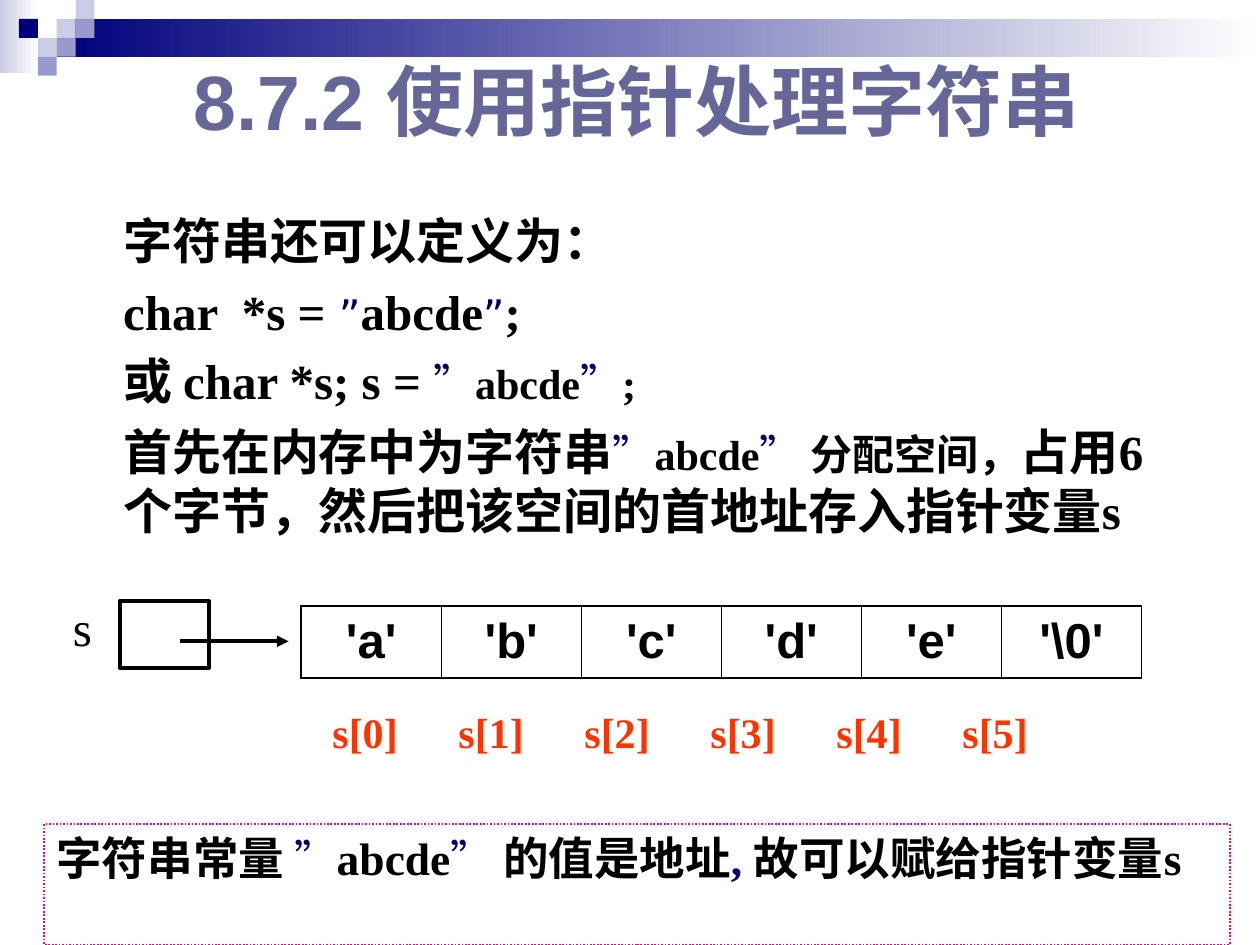
"""Build a slide on handling strings through pointers."""
from dataclasses import dataclass

from lxml import etree
from pptx import Presentation
from pptx import util as u
from pptx.dml.color import RGBColor
from pptx.enum import dml, shapes, text
from pptx.oxml import ns

WIDE, HIGH = u.Inches(10), u.Inches(7.5)
COLS, ROWS = 100, 75
HUES = {
    "black": "000000", "white": "FFFFFF", "navy": "00007D", "ink": "000066",
    "pale": "CCCCE6", "mauve": "9999CC", "slate": "666699",
    "red": "FF3300", "pink": "FF0066",
}
SERIF, SANS, MARK = "Times New Roman", "Arial", "DejaVu Sans"


@dataclass(frozen=True)
class Area:
    col: float
    row: float
    wide: float
    high: float

    def box(self) -> tuple:
        return (across(self.col), down(self.row),
                across(self.wide), down(self.high))


@dataclass(frozen=True)
class Style:
    size: float
    name: str = SERIF
    hue: str = "black"
    bold: bool = True


@dataclass(frozen=True)
class Line:
    runs: tuple
    before: float = 0


HEAD = Style(44, SANS, "slate")
BIG, MID, SMALL = Style(28), Style(26), Style(24)
QUOTE = Style(24, MARK, "ink", False)
CELL = Style(28, SANS)
PLAIN = Style(28, bold=False)
INDEX = Style(24, hue="red")
COMMA = Style(26, hue="navy")

BODY = (
    Line((("字符串还可以定义为：", BIG),)),
    Line((("char  *s =", BIG), (" ”", QUOTE), ("abcde", BIG),
          ("”", QUOTE), (";", BIG)), 7),
    Line((("或 char *s; s = ", BIG), ("”", QUOTE), ("abcde", SMALL),
          ("”", QUOTE), (";", SMALL)), 6),
    Line((("首先在内存中为字符串", BIG), ("”", QUOTE), ("abcde", SMALL),
          ("” ", QUOTE), ("分配空间，", SMALL),
          ("占用6个字节，然后把该空间的首地址存入指针变量s", BIG)), 7),
)
NOTE = Line((("字符串常量 ", MID), ("”", QUOTE), ("abcde", MID), ("”", QUOTE),
             (" 的值是地址", MID), (", ", COMMA), ("故可以赋给指针变量s", MID)))
CHARS = ("'a'", "'b'", "'c'", "'d'", "'e'", r"'\0'")
TILES = ((3, 1, "pale"), (4, 0, "pale"), (4, 1, "mauve"), (2, 2, "pale"),
         (1, 1, "navy"), (3, 2, "mauve"), (2, 3, "mauve"))


def across(cols: float) -> int:
    return round(WIDE * cols / COLS)


def down(rows: float) -> int:
    return round(HIGH * rows / ROWS)


def hue(name: str) -> RGBColor:
    return RGBColor.from_string(HUES[name])


def apply(thing, form: dict) -> None:
    for key, val in form.items():
        setattr(thing, key, val)


def write(frame, lines: tuple, align=text.PP_ALIGN.LEFT) -> None:
    for num, line in enumerate(lines):
        para = frame.add_paragraph() if num else frame.paragraphs[0]
        apply(para, {"alignment": align, "space_before": u.Pt(line.before)})
        for words, style in line.runs:
            run = para.add_run()
            run.text = words
            apply(run.font, {"size": u.Pt(style.size), "name": style.name,
                             "bold": style.bold})
            run.font.color.rgb = hue(style.hue)


def indent(para, left: float, first: float = 0) -> None:
    props = para._p.get_or_add_pPr()
    props.set("marL", str(across(left)))
    props.set("indent", str(across(first)))


def label(slide, area: Area, lines: tuple, **form):
    frame = slide.shapes.add_textbox(*area.box()).text_frame
    frame.word_wrap = True
    write(frame, lines, **form)
    return frame


def block(slide, area: Area, fill: tuple = (), edge: str = "",
          width: float = 1):
    form = slide.shapes.add_shape(shapes.MSO_SHAPE.RECTANGLE, *area.box())
    form.shadow.inherit = False
    if len(fill) == 2:
        form.fill.gradient()
        form.fill.gradient_angle = 0
        for stop, name in zip(form.fill.gradient_stops, fill):
            stop.color.rgb = hue(name)
    elif fill:
        form.fill.solid()
        form.fill.fore_color.rgb = hue(fill[0])
    else:
        form.fill.background()
    if edge:
        form.line.color.rgb = hue(edge)
        form.line.width = u.Pt(width)
    else:
        form.line.fill.background()
    return form


def arrow(slide, start: tuple, end: tuple) -> None:
    link = slide.shapes.add_connector(
        shapes.MSO_CONNECTOR.STRAIGHT, across(start[0]), down(start[1]),
        across(end[0]), down(end[1]))
    link.line.color.rgb = hue("black")
    link.line.width = u.Pt(2.25)
    tail = etree.SubElement(link.line._get_or_add_ln(), ns.qn("a:tailEnd"))
    tail.set("type", "triangle")
    etree.SubElement(link._element.spPr, ns.qn("a:effectLst"))


def border(cell, sides: dict) -> None:
    props = cell._tc.get_or_add_tcPr()
    for num, (side, width) in enumerate(sides.items()):
        line = etree.Element(ns.qn(f"a:ln{side}"), w=str(u.Pt(width)))
        fill = etree.SubElement(line, ns.qn("a:solidFill"))
        etree.SubElement(fill, ns.qn("a:srgbClr"), val=HUES["black"])
        props.insert(num, line)


def array(slide, area: Area) -> None:
    table = slide.shapes.add_table(1, len(CHARS), *area.box()).table
    apply(table, {"first_row": False, "horz_banding": False})
    last = len(CHARS) - 1
    for num, char in enumerate(CHARS):
        cell = table.cell(0, num)
        cell.fill.background()
        cell.vertical_anchor = text.MSO_ANCHOR.MIDDLE
        write(cell.text_frame, (Line(((char, CELL),)),), text.PP_ALIGN.CENTER)
        border(cell, {"L": 0.45 if num else 1.08,
                      "R": 0.45 if num < last else 1.08,
                      "T": 1.08, "B": 1.08})


def index(slide, area: Area, left: float, step: float) -> None:
    names = "\t".join(f"s[{num}]" for num in range(len(CHARS)))
    para = label(slide, area, (Line(((names, INDEX),)),)).paragraphs[0]
    indent(para, left)
    tabs = etree.SubElement(para._p.get_or_add_pPr(), ns.qn("a:tabLst"))
    for num in range(1, len(CHARS)):
        etree.SubElement(tabs, ns.qn("a:tab"),
                         pos=str(across(left + num * step)), algn="l")


def main() -> None:
    deck = Presentation()
    apply(deck, {"slide_width": WIDE, "slide_height": HIGH})
    slide = deck.slides.add_slide(deck.slide_layouts[6])
    block(slide, Area(0, 0, 3.1, 5.8), ("pale", "white"))
    block(slide, Area(4.5, 1.5, 95.5, 3), ("navy", "white"))
    side = 1.5
    for col, row, name in TILES:
        block(slide, Area(col * side, row * side, side, side), (name,))
    head = label(slide, Area(8.7, 3.2, 83.7, 10.4),
                 (Line((("8.7.2 使用指针处理字符串", HEAD),)),),
                 align=text.PP_ALIGN.CENTER)
    head.vertical_anchor = text.MSO_ANCHOR.MIDDLE
    head.paragraphs[0].line_spacing = 0.9
    label(slide, Area(8.8, 16.2, 86.6, 27.2), BODY)
    array(slide, Area(23.9, 48.1, 66.7, 5.7))
    label(slide, Area(4.8, 46.9, 4.2, 5.7), (Line((("s", PLAIN),)),))
    index(slide, Area(22.1, 55.6, 69.2, 5), 3.3, 11.2)
    block(slide, Area(9.5, 47.7, 7.1, 5.3), edge="black", width=2.25)
    arrow(slide, (14.3, 50.9), (22.9, 50.9))
    note = block(slide, Area(3.5, 65.4, 94.1, 9.6), edge="pink")
    note.line.dash_style = dml.MSO_LINE.ROUND_DOT
    note.text_frame.word_wrap = True
    note.text_frame.vertical_anchor = text.MSO_ANCHOR.TOP
    write(note.text_frame, (NOTE,))
    indent(note.text_frame.paragraphs[0], 3.8, -3.8)
    deck.save("out.pptx")


if __name__ == "__main__":
    main()
